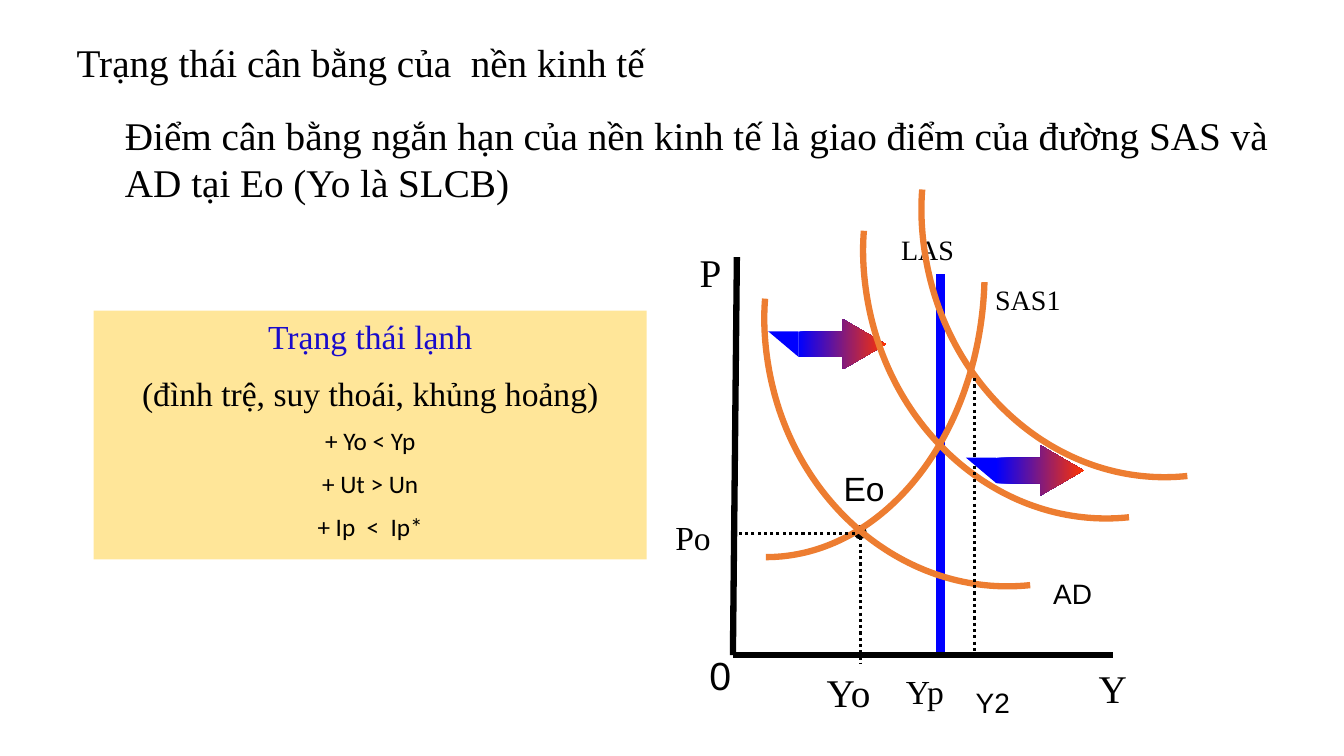
from dataclasses import dataclass

import pptx
import pptx.dml.color
import pptx.enum.dml
import pptx.enum.shapes
import pptx.enum.text
import pptx.oxml
import pptx.oxml.ns
import pptx.util

Cm = pptx.util.Cm
Pt = pptx.util.Pt
SHAPE = pptx.enum.shapes.MSO_SHAPE
ALIGN = pptx.enum.text.PP_ALIGN
ANCHOR = pptx.enum.text.MSO_ANCHOR
DASH = pptx.enum.dml.MSO_LINE

Point = tuple[float, float]


@dataclass(frozen=True)
class Theme:
    black: str = "000000"
    white: str = "FFFFFF"
    panel: str = "FFE699"
    heading: str = "190BCB"
    blue: str = "0000FF"
    red: str = "FF3300"
    curve: str = "ED7D31"
    serif: str = "Times New Roman"
    sans: str = "Arial"
    body: str = "Calibri"
    large: int = 28
    medium: int = 24
    small: int = 20
    detail: int = 18


@dataclass(frozen=True)
class Label:
    text: str
    x: float
    y: float
    w: float
    h: float
    size: int
    font: str
    wrap: bool = False


@dataclass(frozen=True)
class Line:
    start: Point
    end: Point
    color: str
    width: float
    dotted: bool = False


@dataclass(frozen=True)
class Curve:
    """A box, and a Bézier path inside it: a start, then three points a segment."""
    x: float
    y: float
    w: float
    h: float
    knots: tuple[Point, ...]
    rotation: float = 0


T = Theme()

# Chart data, in centimetres
LABELS = [
    Label("LAS", 22.46, 5.74, 1.85, 1.12, T.small, T.serif),
    Label("Po", 16.77, 12.9, 1.42, 1.27, T.medium, T.serif),
    Label("Yo", 20.58, 16.71, 1.63, 1.45, T.large, T.serif),
    Label("Yp", 22.58, 16.79, 1.47, 1.27, T.medium, T.serif),
    Label("SAS1", 24.83, 6.99, 2.18, 1.12, T.small, T.serif),
    Label("P", 17.38, 6.14, 1.07, 1.45, T.large, T.serif),
    Label("Y", 27.44, 16.61, 1.22, 1.45, T.large, T.serif),
    Label("Eo", 21.01, 11.66, 2.11, 1.27, T.medium, T.sans, True),
    Label("AD", 26.29, 14.4, 1.91, 1.09, T.small, T.sans, True),
    Label("0", 17.63, 16.3, 1.27, 1.45, T.large, T.sans, True),
    Label("Y2", 24.34, 17.15, 1.91, 1.09, T.small, T.sans, True),
]
AXES = [
    Line((23.7, 16.48), (23.7, 6.91), T.blue, 6),
    Line((18.47, 16.51), (28.04, 16.51), T.black, 4.5),
    Line((18.57, 6.48), (18.47, 16.51), T.black, 4.5),
]
GUIDES = [
    Line((21.54, 13.44), (18.57, 13.44), T.black, 2.25, True),
    Line((21.69, 13.54), (21.69, 16.71), T.black, 2.25, True),
    Line((24.56, 9.53), (24.56, 16.51), T.black, 2.25, True),
]
SAS = Curve(19.3, 6.78, 5.51, 7.26,
            ((0, 7.26), (2.95, 7.26), (5.39, 4.2), (5.51, 0.33)))
AD_KNOTS = ((0.37, 0), (3.5, 0.21), (5.92, 3.06), (5.92, 6.52),
            (5.92, 7.09), (5.86, 7.69), (5.71, 8.26))
AD, AD_RIGHT, AD_FAR_RIGHT = (
    Curve(x, y, 5.92, 8.26, AD_KNOTS, 170.1)
    for x, y in ((19.74, 6.99), (22.23, 5.28), (23.7, 4.24)))


def rgb(color: str):
    return pptx.dml.color.RGBColor.from_string(color)


def write(p, text: str, *, size: int, font: str, color: str = T.black,
          align=ALIGN.LEFT, before: float = 0, spacing: float = 1.0) -> None:
    p.alignment = align
    p.line_spacing = spacing
    p.space_before = Pt(before)
    r = p.add_run()
    r.text = text
    r.font.size = Pt(size)
    r.font.name = font
    r.font.color.rgb = rgb(color)


def add_block(s, kind, x: float, y: float, w: float, h: float, fill: str):
    sp = s.shapes.add_shape(kind, Cm(x), Cm(y), Cm(w), Cm(h))
    sp.shadow.inherit = False
    sp.fill.solid()
    sp.fill.fore_color.rgb = rgb(fill)
    sp.line.fill.background()
    sp.text_frame.word_wrap = True
    sp.text_frame.vertical_anchor = ANCHOR.TOP
    return sp


def add_label(s, label: Label) -> None:
    sp = s.shapes.add_textbox(Cm(label.x), Cm(label.y), Cm(label.w), Cm(label.h))
    sp.text_frame.word_wrap = label.wrap
    write(sp.text_frame.paragraphs[0], label.text, size=label.size, font=label.font)


def add_line(s, line: Line) -> None:
    sp = s.shapes.add_connector(pptx.enum.shapes.MSO_CONNECTOR.STRAIGHT,
                                *map(Cm, line.start + line.end))
    sp.line.color.rgb = rgb(line.color)
    sp.line.width = Pt(line.width)
    if line.dotted:
        sp.line.dash_style = DASH.ROUND_DOT
    sp._element.spPr.append(pptx.oxml.parse_xml(
        f'<a:effectLst {pptx.oxml.ns.nsdecls("a")}/>'))


def add_curve(s, curve: Curve) -> None:
    builder = s.shapes.build_freeform(Cm(curve.x), Cm(curve.y))
    builder.add_line_segments([(Cm(curve.x + curve.w), Cm(curve.y + curve.h))],
                              close=False)
    sp = builder.convert_to_shape()
    # Smooth segments take the place of the straight diagonal
    outline = sp._element.spPr.find(".//" + pptx.oxml.ns.qn("a:path"))
    for step in list(outline):
        outline.remove(step)
    points = [f'<a:pt x="{Cm(x)}" y="{Cm(y)}"/>' for x, y in curve.knots]
    steps = [("moveTo", points[:1])]
    steps += [("cubicBezTo", points[i:i + 3]) for i in range(1, len(points), 3)]
    for tag, pts in steps:
        outline.append(pptx.oxml.parse_xml(
            f'<a:{tag} {pptx.oxml.ns.nsdecls("a")}>{"".join(pts)}</a:{tag}>'))
    sp.rotation = curve.rotation
    sp.shadow.inherit = False
    sp.fill.background()
    sp.line.color.rgb = rgb(T.curve)
    sp.line.width = Pt(4.5)


def add_shift_arrow(s, x: float, y: float) -> None:
    sp = add_block(s, SHAPE.RIGHT_ARROW, x + 0.76, y, 2.21, 1.27, T.blue)
    sp.adjustments[0], sp.adjustments[1] = 0.5, 0.86
    sp.fill.gradient()
    sp.fill.gradient_angle = 0
    for stop, position, color in zip(sp.fill.gradient_stops, (0, 1), (T.blue, T.red)):
        stop.position = position
        stop.color.rgb = rgb(color)
    tail = add_block(s, SHAPE.RIGHT_TRIANGLE, x, y + 0.31, 0.76, 0.64, T.blue)
    tail.rotation = 180


def add_texts(s) -> None:
    # Title
    sp = s.shapes.title
    sp.left, sp.top, sp.width, sp.height = map(Cm, (1.68, 0.36, 27.25, 2.54))
    sp.text_frame.vertical_anchor = ANCHOR.MIDDLE
    write(sp.text_frame.paragraphs[0], "Trạng thái cân bằng của  nền kinh tế",
          size=T.large, font=T.serif, spacing=0.9)

    # Panel on the cold state
    tf = add_block(s, SHAPE.RECTANGLE, 2.36, 7.83, 13.94, 6.27, T.panel).text_frame
    write(tf.paragraphs[0], "Trạng thái lạnh", size=T.medium, font=T.serif,
          color=T.heading, align=ALIGN.CENTER)
    write(tf.add_paragraph(), "(đình trệ, suy thoái, khủng hoảng)", size=T.medium,
          font=T.serif, align=ALIGN.CENTER, before=12)
    for condition in ("+ Yo < Yp", "+ Ut > Un", "+ Ip  <  Ip*"):
        write(tf.add_paragraph(), condition, size=T.detail, font=T.body,
              align=ALIGN.CENTER, before=9)

    # Statement
    tf = add_block(s, SHAPE.RECTANGLE, 2.9, 2.67, 30.05, 2.64, T.white).text_frame
    write(tf.paragraphs[0], "Điểm cân bằng ngắn hạn của nền kinh tế là giao điểm "
          "của đường SAS và AD tại Eo (Yo là SLCB)", size=T.large, font=T.serif)


def add_diagram(s) -> None:
    # Equilibrium point, axes and labels
    add_block(s, SHAPE.OVAL, 21.51, 13.23, 0.33, 0.36, T.black)
    for line in AXES:
        add_line(s, line)
    for label in LABELS:
        add_label(s, label)
    # Supply, demand and the shifts of demand
    add_curve(s, SAS)
    add_curve(s, AD)
    add_shift_arrow(s, 19.36, 8.04)
    add_curve(s, AD_RIGHT)
    add_curve(s, AD_FAR_RIGHT)
    for line in GUIDES:
        add_line(s, line)
    add_shift_arrow(s, 24.34, 11.22)


def main() -> None:
    prs = pptx.Presentation()
    prs.slide_width, prs.slide_height = Cm(33.87), Cm(19.05)
    s = prs.slides.add_slide(prs.slide_layouts[5])
    add_texts(s)
    add_diagram(s)
    prs.save("out.pptx")


if __name__ == "__main__":
    main()
